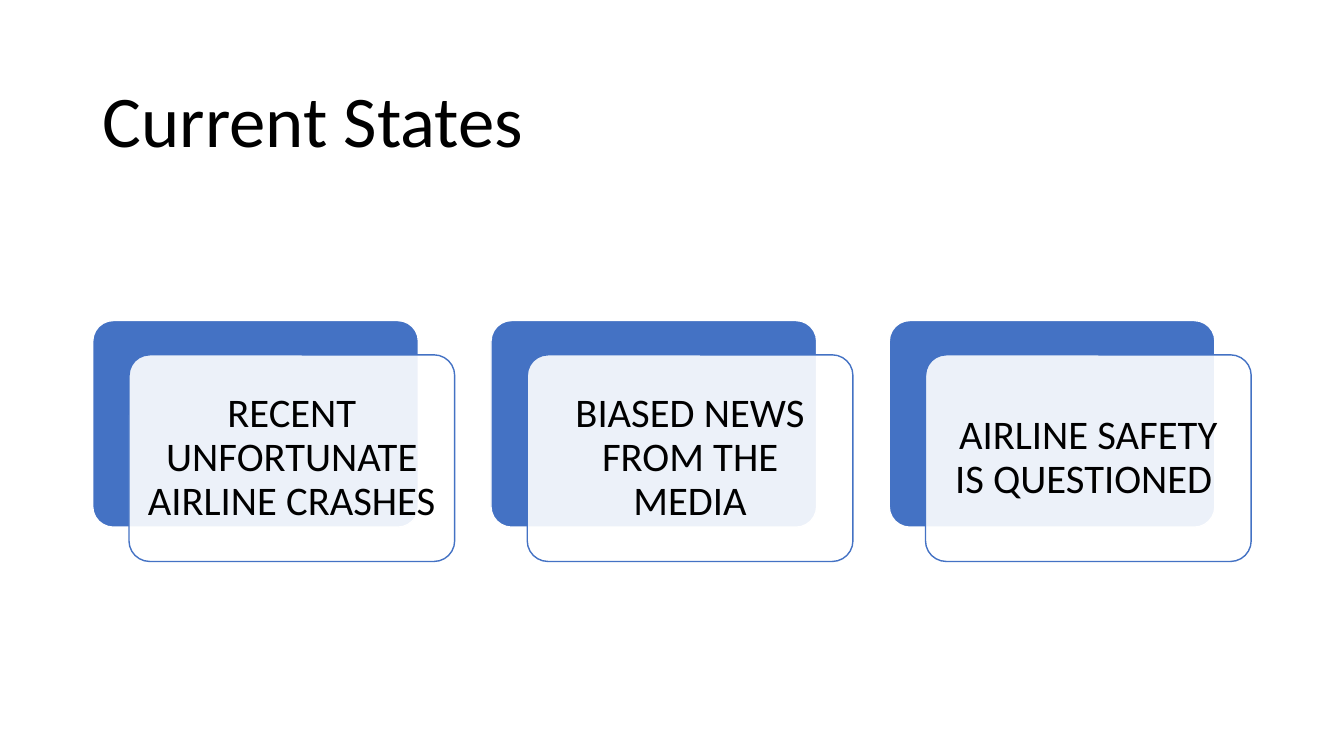
from lxml import etree
from pptx import Presentation
from pptx import util as u
from pptx.dml.color import RGBColor
from pptx.enum import shapes, text
from pptx.oxml.ns import qn

PX = 9144
COLORS = {"blue": "4472C4", "white": "FFFFFF", "black": "000000"}
CARD_W, CARD_H, CARD_STEP = 323, 205, 395
LEFT, TOP = 92, 318
STATES = [
    "RECENT UNFORTUNATE AIRLINE CRASHES",
    "BIASED NEWS FROM THE MEDIA",
    "AIRLINE SAFETY IS QUESTIONED ",
]


def add_card(left, top, fill, line):
    card = slide.shapes.add_shape(
        shapes.MSO_SHAPE.ROUNDED_RECTANGLE,
        left * PX, top * PX, CARD_W * PX, CARD_H * PX)
    card.adjustments[0] = 0.1
    card.shadow.inherit = False
    card.fill.solid()
    card.fill.fore_color.rgb = RGBColor.from_string(COLORS[fill])
    card.line.color.rgb = RGBColor.from_string(COLORS[line])
    card.line.width = u.Pt(1)
    return card


def add_words(words, left, top, width, height, size, inset, align):
    box = slide.shapes.add_textbox(left * PX, top * PX, width * PX, height * PX)
    frame = box.text_frame
    frame.word_wrap = True
    frame.vertical_anchor = text.MSO_ANCHOR.MIDDLE
    frame.margin_left = frame.margin_right = inset[0] * PX
    frame.margin_top = frame.margin_bottom = inset[1] * PX
    frame.text = words
    paragraph = frame.paragraphs[0]
    paragraph.alignment = align
    paragraph.line_spacing = 0.9
    font = paragraph.runs[0].font
    font.name = "Calibri"
    font.size = u.Pt(size)
    font.color.rgb = RGBColor.from_string(COLORS["black"])


deck = Presentation()
deck.slide_width, deck.slide_height = 1333 * PX, 750 * PX
slide = deck.slides.add_slide(deck.slide_layouts[6])

add_words("Current States", LEFT, 61, 1150, 124, 52, (10, 5), text.PP_ALIGN.LEFT)

for column, state in enumerate(STATES):
    left = LEFT + column * CARD_STEP
    add_card(left, TOP, "blue", "white")
    front = add_card(left + 36, TOP + 34, "white", "blue")
    tint = front.fill._xPr.find(qn("a:solidFill"))[0]
    etree.SubElement(tint, qn("a:alpha"), val="90000")
    add_words(state, left + 42, TOP + 40, CARD_W - 12, CARD_H - 12, 29,
              (12, 12), text.PP_ALIGN.CENTER)

deck.save("out.pptx")
